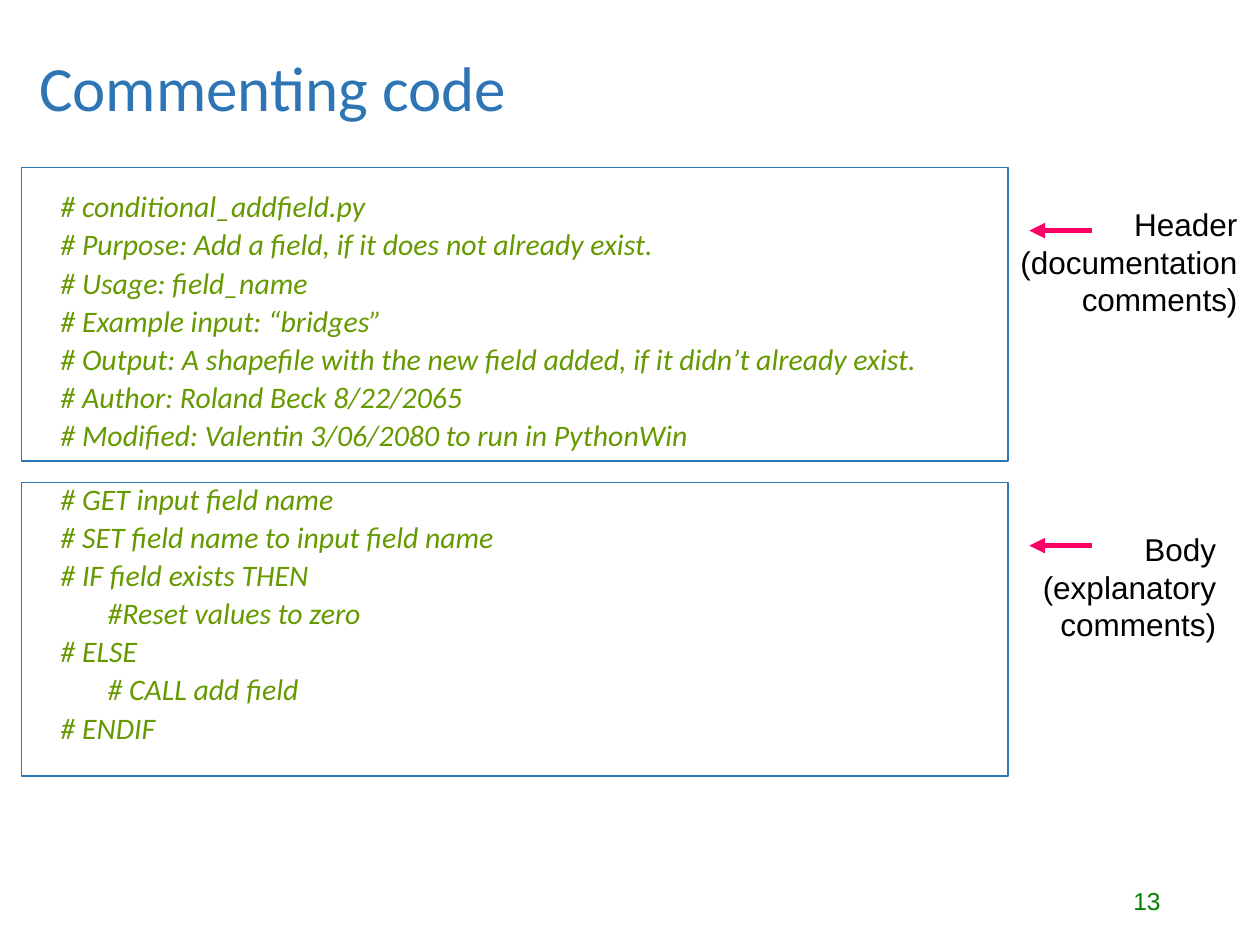
from dataclasses import dataclass

from lxml.etree import SubElement
from pptx import Presentation
from pptx.dml.color import RGBColor
from pptx.enum.shapes import MSO_CONNECTOR, MSO_SHAPE
from pptx.enum.text import MSO_ANCHOR, MSO_AUTO_SIZE, PP_ALIGN
from pptx.oxml.ns import qn
from pptx.util import Inches, Pt

TITLE = "Commenting code"
SLIDE_NUMBER = "13"
SECTIONS = [
    {
        "label": ["Header", "(documentation", "comments)"],
        "label_box": (8, 1.58, 1.92, 1),
        "code": [
            "# conditional_addfield.py",
            "# Purpose: Add a field, if it does not already exist.",
            "# Usage: field_name",
            "# Example input: “bridges”",
            "# Output: A shapefile with the new field added, if it didn’t already exist.",
            "# Author: Roland Beck 8/22/2065",
            "# Modified: Valentin 3/06/2080 to run in PythonWin",
        ],
    },
    {
        "label": ["Body", "(explanatory", "comments)"],
        "label_box": (8.1, 4.16, 1.65, 1),
        "code": [
            "# GET input field name",
            "# SET field name to input field name",
            "# IF field exists THEN",
            "       #Reset values to zero",
            "# ELSE",
            "       # CALL add field",
            "# ENDIF",
        ],
    },
]


@dataclass(frozen=True)
class Theme:
    blue: RGBColor = RGBColor(0x2E, 0x75, 0xB6)
    code: RGBColor = RGBColor(0x66, 0x99, 0x00)
    number: RGBColor = RGBColor(0x00, 0x80, 0x00)
    arrow: RGBColor = RGBColor(0xFF, 0x00, 0x66)
    black: RGBColor = RGBColor(0, 0, 0)
    white: RGBColor = RGBColor(0xFF, 0xFF, 0xFF)
    heading_font: str = "Calibri"
    label_font: str = "Arial"
    title_size: float = 36
    code_size: float = 17
    label_size: float = 18
    number_size: float = 14


THEME = Theme()
FRAME_LEFT, FRAME_TOP, FRAME_WIDTH, FRAME_HEIGHT = 0.17, 1.33, 7.83, 2.33
SECTION_PITCH = 2.5
ARROW_DROP, ARROW_GAP, ARROW_LENGTH = 0.5, 0.17, 0.5
LINE_GAP, SECTION_GAP = 7.5, 22


def place(shape, left, top, width, height):
    shape.left, shape.top = Inches(left), Inches(top)
    shape.width, shape.height = Inches(width), Inches(height)


def style(paragraph, font_name, size, color):
    font = paragraph.font
    font.name, font.size, font.color.rgb = font_name, Pt(size), color


def add_title(slide):
    title = slide.shapes.title
    place(title, 0.21, 0, 4.88, 1.45)
    frame = title.text_frame
    frame.text = TITLE
    frame.auto_size = MSO_AUTO_SIZE.NONE
    frame.vertical_anchor = MSO_ANCHOR.MIDDLE
    paragraph = frame.paragraphs[0]
    paragraph.alignment = PP_ALIGN.LEFT
    paragraph.line_spacing = 0.9
    style(paragraph, THEME.heading_font, THEME.title_size, THEME.blue)


def add_code(slide):
    body = slide.placeholders[1]
    place(body, 0.38, 1.52, 8.63, 4.76)
    frame = body.text_frame
    frame.auto_size = MSO_AUTO_SIZE.NONE
    frame.text = "\n".join(line for section in SECTIONS for line in section["code"])
    section_start = len(SECTIONS[0]["code"])
    for index, paragraph in enumerate(frame.paragraphs):
        properties = paragraph._p.get_or_add_pPr()
        properties.set("marL", str(Inches(0.19)))
        properties.set("indent", str(-Inches(0.19)))
        SubElement(properties, qn("a:buNone"))
        paragraph.line_spacing = 0.7
        gap = SECTION_GAP if index == section_start else LINE_GAP
        paragraph.space_before = Pt(gap if index else 0)
        style(paragraph, THEME.heading_font, THEME.code_size, THEME.code)
        paragraph.font.italic = True


def add_frame(slide, top):
    """Outline a code section, behind the title and the code."""
    frame = slide.shapes.add_shape(
        MSO_SHAPE.RECTANGLE, Inches(FRAME_LEFT), Inches(top),
        Inches(FRAME_WIDTH), Inches(FRAME_HEIGHT))
    frame.shadow.inherit = False
    frame.fill.solid()
    frame.fill.fore_color.rgb = THEME.white
    frame.line.color.rgb = THEME.blue
    frame.line.width = Pt(0.75)
    slide.shapes.title.element.addprevious(frame.element)


def add_right_text(slide, box, lines, size, color):
    text_box = slide.shapes.add_textbox(*map(Inches, box))
    frame = text_box.text_frame
    frame.text = "\n".join(lines)
    for paragraph in frame.paragraphs:
        paragraph.alignment = PP_ALIGN.RIGHT
        style(paragraph, THEME.label_font, size, color)
    return frame


def add_label(slide, section):
    frame = add_right_text(slide, section["label_box"], section["label"],
                           THEME.label_size, THEME.black)
    frame.word_wrap = False
    frame.auto_size = MSO_AUTO_SIZE.NONE
    for paragraph in frame.paragraphs:
        paragraph.line_spacing = Pt(21.5)


def add_arrow(slide, y):
    tip = FRAME_LEFT + FRAME_WIDTH + ARROW_GAP
    arrow = slide.shapes.add_connector(
        MSO_CONNECTOR.STRAIGHT, Inches(tip + ARROW_LENGTH), Inches(y),
        Inches(tip), Inches(y))
    arrow.line.color.rgb = THEME.arrow
    arrow.line.width = Pt(3)
    SubElement(arrow.line._get_or_add_ln(), qn("a:tailEnd"), type="triangle")
    SubElement(arrow.element.spPr, qn("a:effectLst"))


def main():
    presentation = Presentation()
    presentation.slide_width, presentation.slide_height = Inches(10), Inches(7.5)
    slide = presentation.slides.add_slide(presentation.slide_layouts[1])
    add_title(slide)
    add_code(slide)
    number = add_right_text(slide, (7.06, 6.95, 2.25, 0.4), [SLIDE_NUMBER],
                            THEME.number_size, THEME.number)
    number.word_wrap = True
    number.vertical_anchor = MSO_ANCHOR.MIDDLE
    for index, section in enumerate(SECTIONS):
        top = FRAME_TOP + index * SECTION_PITCH
        add_frame(slide, top)
        add_label(slide, section)
        add_arrow(slide, top + ARROW_DROP)
    presentation.save("out.pptx")


if __name__ == "__main__":
    main()
